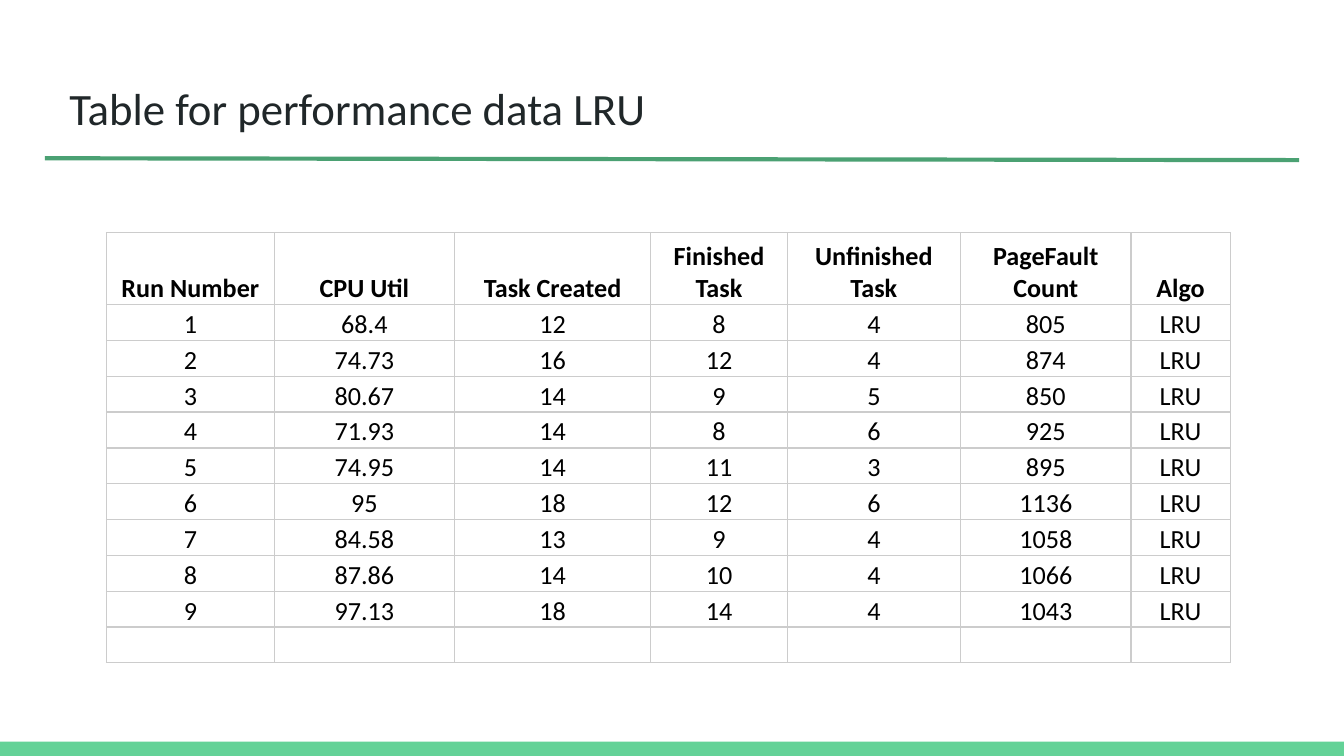
from lxml import etree
from pptx import Presentation
from pptx.dml.color import RGBColor
from pptx.enum import shapes, text
from pptx.oxml import ns
from pptx.util import Pt

INK = RGBColor(0x20, 0x27, 0x29)
BLACK = RGBColor(0, 0, 0)
RULE_GREEN = RGBColor(0x4B, 0xA1, 0x73)
BAR_GREEN = RGBColor(0x63, 0xD2, 0x97)
GRID_GREY = RGBColor(0xCC, 0xCC, 0xCC)

FONT = "Calibri"
WIDTH, HEIGHT = 720, 405
BAR_HEIGHT = 7.6
COLUMN_WIDTHS = [90, 96.5, 105.2, 73, 93, 91.2, 53.2]
HEADER_HEIGHT, ROW_HEIGHT = 38.6, 19.2

HEADINGS = ["Run Number", "CPU Util", "Task Created", "Finished Task",
            "Unfinished Task", "PageFault Count", "Algo"]
RUNS = [
    ("68.4", 12, 8, 4, 805),
    ("74.73", 16, 12, 4, 874),
    ("80.67", 14, 9, 5, 850),
    ("71.93", 14, 8, 6, 925),
    ("74.95", 14, 11, 3, 895),
    ("95", 18, 12, 6, 1136),
    ("84.58", 13, 9, 4, 1058),
    ("87.86", 14, 10, 4, 1066),
    ("97.13", 18, 14, 4, 1043),
]


def set_attributes(target, values):
    for name, value in values.items():
        setattr(target, name, value)


def write(paragraph, wording, size, color, bold, align):
    paragraph.alignment = align
    run = paragraph.add_run()
    run.text = wording
    set_attributes(run.font, {"name": FONT, "size": Pt(size), "bold": bold})
    run.font.color.rgb = color


def place_title(slide, left, top, width, height):
    title = slide.shapes.title
    set_attributes(title, {"left": Pt(left), "top": Pt(top),
                           "width": Pt(width), "height": Pt(height)})
    inset = Pt(7.2)
    set_attributes(title.text_frame, {
        "margin_left": inset, "margin_right": inset,
        "margin_top": inset, "margin_bottom": inset,
        "word_wrap": True, "auto_size": text.MSO_AUTO_SIZE.NONE,
        "vertical_anchor": text.MSO_ANCHOR.MIDDLE})
    write(title.text_frame.paragraphs[0], " Table for performance data LRU",
          24, INK, False, text.PP_ALIGN.LEFT)


def draw_title_rule(slide, left, top, width, drop):
    rule = slide.shapes.add_connector(
        shapes.MSO_CONNECTOR.STRAIGHT,
        Pt(left), Pt(top), Pt(left + width), Pt(top + drop))
    rule.line.color.rgb = RULE_GREEN
    rule.line.width = Pt(2.25)
    etree.SubElement(rule._element.spPr, ns.qn("a:effectLst"))


def draw_bottom_bar(slide, left, top, width, height):
    bar = slide.shapes.add_shape(shapes.MSO_SHAPE.RECTANGLE,
                                 Pt(left), Pt(top), Pt(width), Pt(height))
    bar.shadow.inherit = False
    bar.fill.solid()
    bar.fill.fore_color.rgb = BAR_GREEN
    bar.line.fill.background()


def outline_cell(cell):
    properties = cell._tc.get_or_add_tcPr()
    for side in ("a:lnL", "a:lnR", "a:lnT", "a:lnB"):
        border = etree.SubElement(properties, ns.qn(side), w=str(Pt(0.75)))
        fill = etree.SubElement(border, ns.qn("a:solidFill"))
        etree.SubElement(fill, ns.qn("a:srgbClr"), val=str(GRID_GREY))


def format_cell(cell, wording, bold):
    outline_cell(cell)
    cell.fill.background()
    set_attributes(cell, {
        "margin_left": Pt(1.5), "margin_right": Pt(1.5),
        "margin_top": Pt(0), "margin_bottom": Pt(0),
        "vertical_anchor": text.MSO_ANCHOR.BOTTOM})
    paragraph = cell.text_frame.paragraphs[0]
    if wording:
        write(paragraph, wording, 14, BLACK, bold, text.PP_ALIGN.CENTER)
    else:
        # Keeps the default text size from stretching an empty row.
        etree.SubElement(paragraph._p, ns.qn("a:endParaRPr"), sz="1400")


def place_performance_table(slide, left, top):
    records = [HEADINGS]
    records += [(number, *run, "LRU") for number, run in enumerate(RUNS, 1)]
    records.append([""] * len(HEADINGS))
    heights = [HEADER_HEIGHT] + [ROW_HEIGHT] * (len(records) - 1)
    table = slide.shapes.add_table(
        len(records), len(HEADINGS), Pt(left), Pt(top),
        Pt(sum(COLUMN_WIDTHS)), Pt(sum(heights))).table
    set_attributes(table, {"first_row": False, "horz_banding": False})
    for column, width in zip(table.columns, COLUMN_WIDTHS):
        column.width = Pt(width)
    for row, height, record in zip(table.rows, heights, records):
        row.height = Pt(height)
        for cell, value in zip(row.cells, record):
            format_cell(cell, str(value), record is HEADINGS)


def main():
    deck = Presentation()
    deck.slide_width, deck.slide_height = Pt(WIDTH), Pt(HEIGHT)
    slide = deck.slides.add_slide(deck.slide_layouts.get_by_name("Title Only"))
    draw_bottom_bar(slide, 0, HEIGHT - BAR_HEIGHT, WIDTH, BAR_HEIGHT)
    place_title(slide, 24.5, 35, 671, 45.4)
    draw_title_rule(slide, 24, 84.8, 672, 1)
    place_performance_table(slide, 57, 124.6)
    deck.save("out.pptx")


if __name__ == "__main__":
    main()
